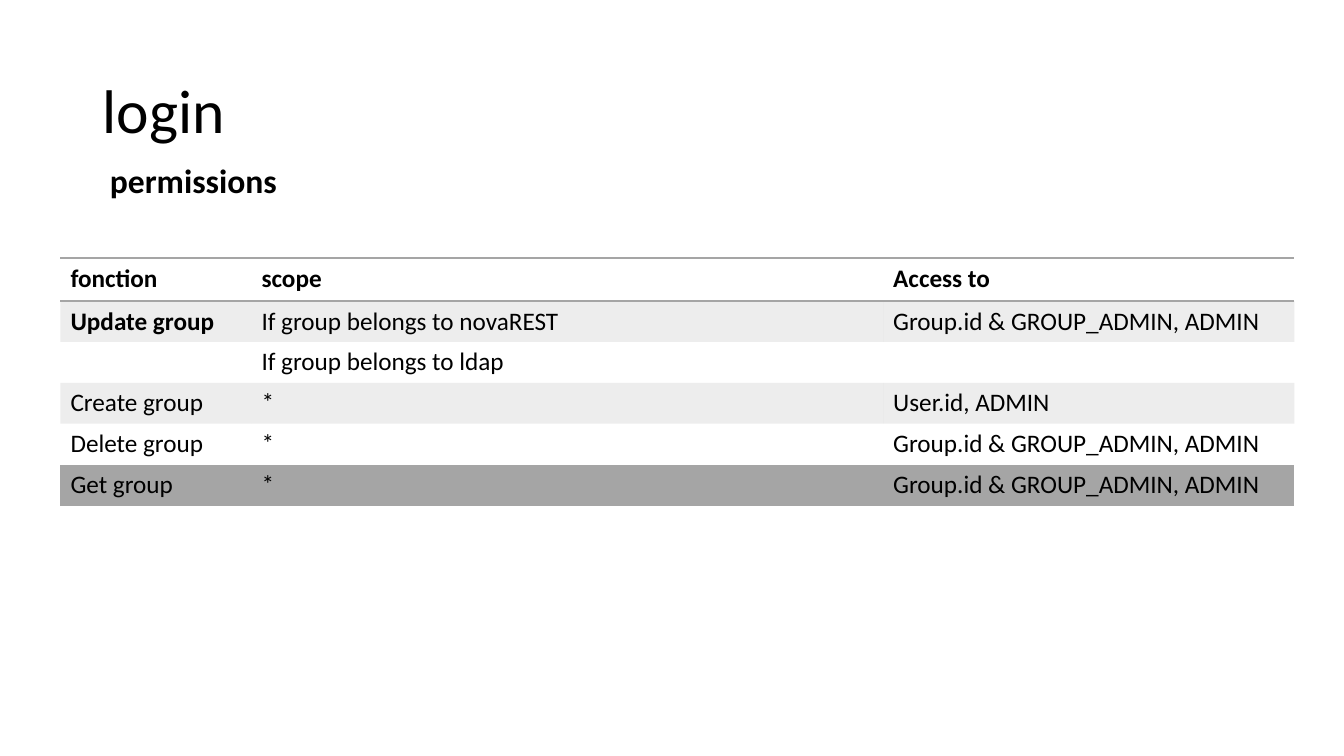
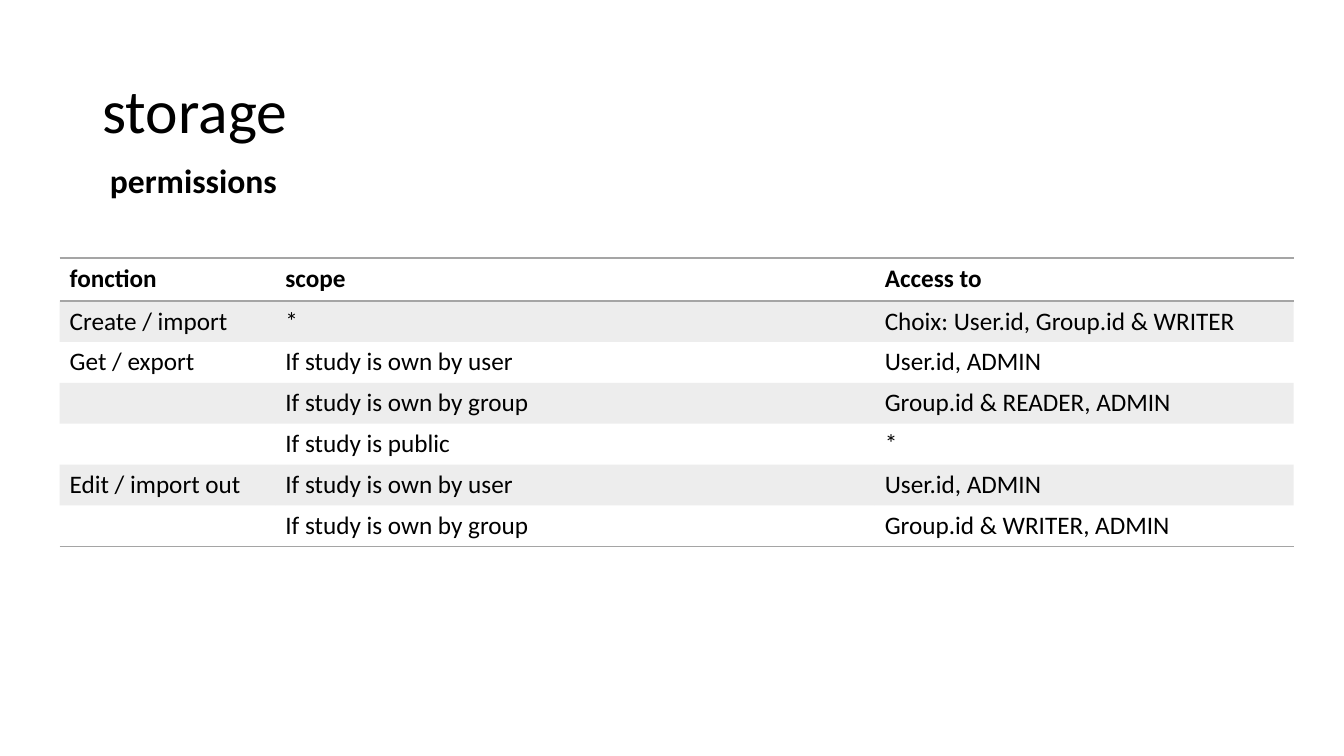
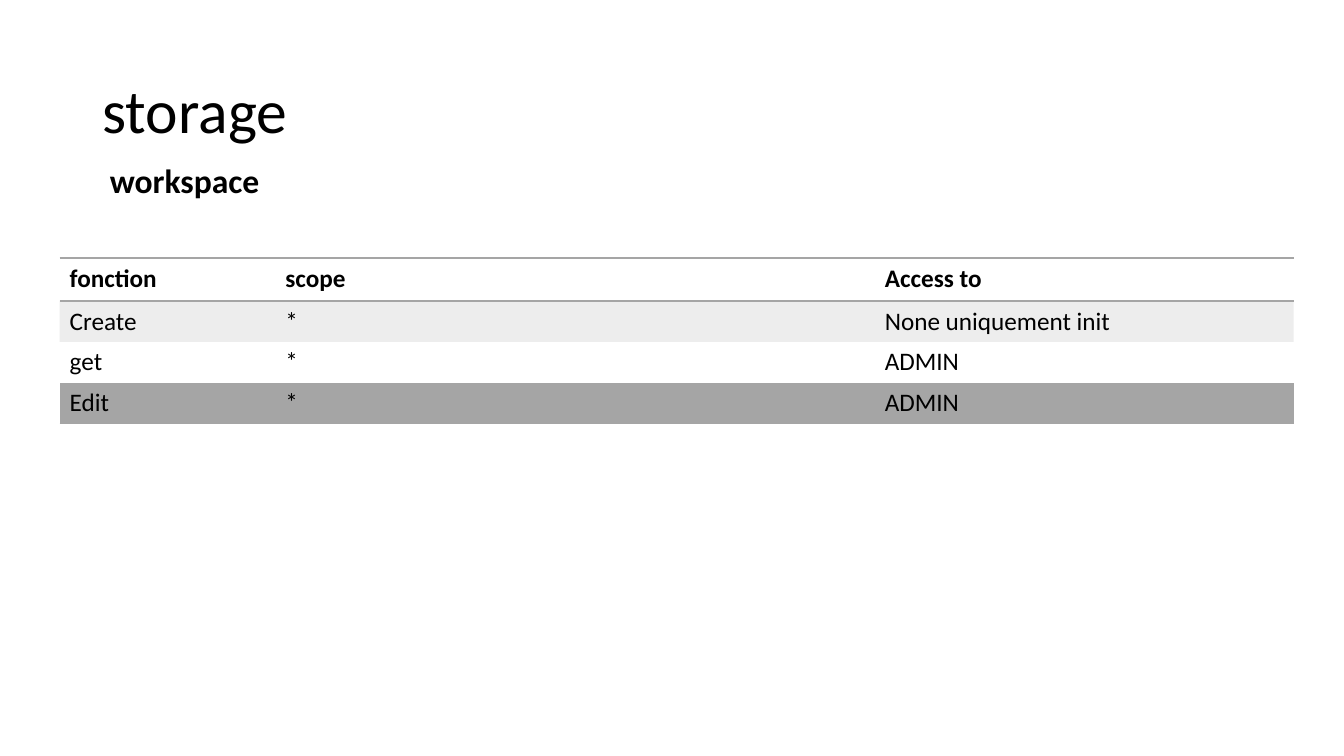
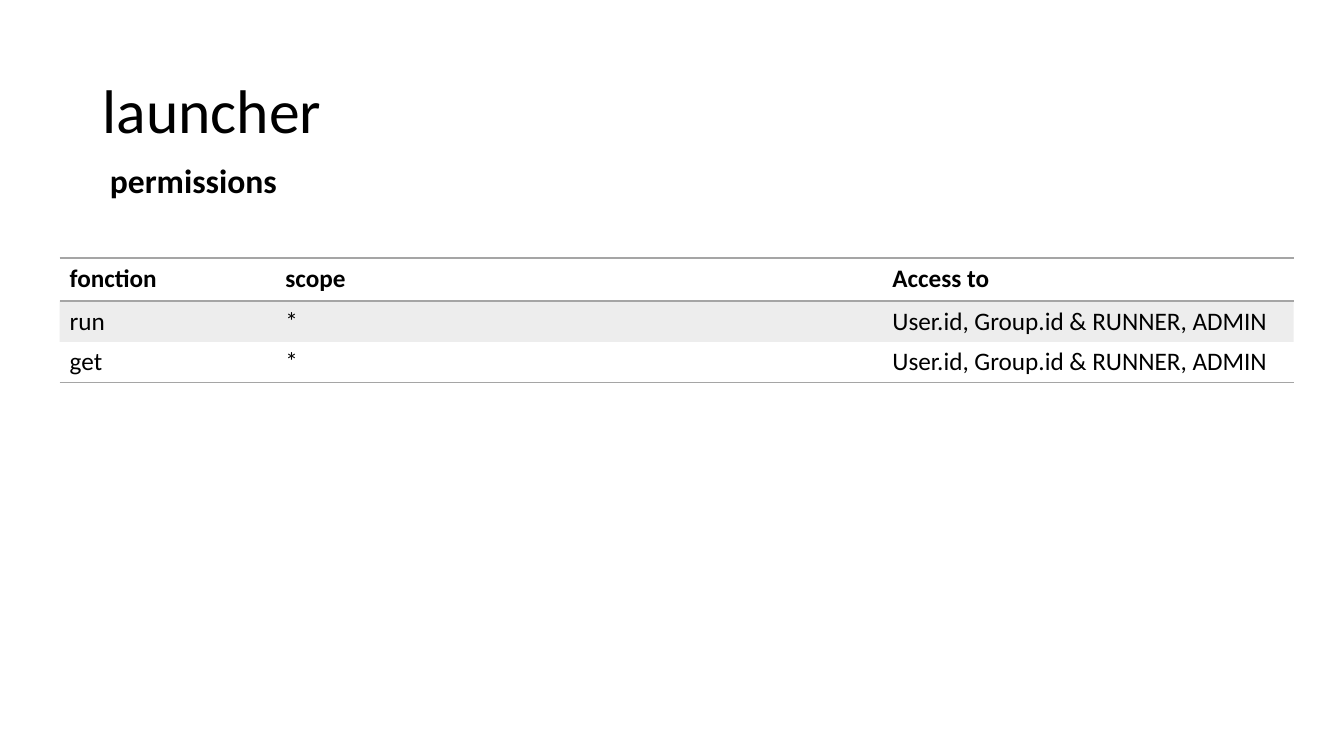
import pptx
import pptx.util
import pptx.dml.color
import pptx.enum.text
import pptx.oxml.ns
import lxml.etree

# Shared look
BLACK = pptx.dml.color.RGBColor(0x00, 0x00, 0x00)
GREY = pptx.dml.color.RGBColor(0xA5, 0xA5, 0xA5)
FONT = "Calibri"
PLAIN = "{2D5ABB26-0587-4C30-8999-92F81FD0307C}"  # table style without grid
HEAD = ("fonction", "scope", "Access to")

# Grid of 160 columns by 90 rows, each cell 6 points wide and high
COLS, ROWS = 160, 90
TOP = 30.72
HEAD_ROW, BODY_ROW = 5.12, 4.87


def grid(count):
    return pptx.util.Pt(6 * count)


def style(para, size, bold=False):
    for run in para.runs:
        font = run.font
        font.name, font.size, font.bold = FONT, pptx.util.Pt(size), bold
        font.color.rgb = BLACK


def node(parent, tag, **attrs):
    return lxml.etree.SubElement(parent, pptx.oxml.ns.qn(tag), attrs)


# Title and subtitle
def add_title(slide, text):
    title = slide.shapes.title
    title.left, title.top = grid(11), grid(4.8)
    title.width, title.height = grid(138), grid(17.4)
    frame = title.text_frame
    frame.text = text
    frame.vertical_anchor = pptx.enum.text.MSO_ANCHOR.MIDDLE
    para = frame.paragraphs[0]
    para.alignment = pptx.enum.text.PP_ALIGN.LEFT
    para.line_spacing = 0.9
    style(para, 44)


def add_sub(slide, text, width):
    box = slide.shapes.add_textbox(grid(11.9), grid(18.5), grid(width), grid(6))
    frame = box.text_frame
    frame.word_wrap = False
    frame.auto_size = pptx.enum.text.MSO_AUTO_SIZE.SHAPE_TO_FIT_TEXT
    frame.text = text
    style(frame.paragraphs[0], 24, True)


# Table parts
def add_rule(cell, side):
    props = cell._tc.get_or_add_tcPr()
    line = node(props, side, w=str(pptx.util.Pt(1)))
    fill = node(line, "a:solidFill")
    node(fill, "a:srgbClr", val=str(GREY))


def fill_cell(cell, shade):
    if not shade:
        cell.fill.background()
        return
    cell.fill.solid()
    cell.fill.fore_color.rgb = GREY
    color = cell._tc.tcPr.find(".//" + pptx.oxml.ns.qn("a:srgbClr"))
    node(color, "a:alpha", val="20000")


def add_grid(slide, left, widths, body, bold):
    rows = [HEAD, *body]
    high = HEAD_ROW + BODY_ROW * len(body)
    frame = slide.shapes.add_table(len(rows), len(HEAD), grid(left), grid(TOP),
                                   grid(sum(widths)), grid(high))
    table = frame.table
    table.first_row = table.horz_banding = False
    table._tbl.tblPr.find(pptx.oxml.ns.qn("a:tableStyleId")).text = PLAIN
    for col, width in zip(table.columns, widths):
        col.width = grid(width)
    for r, row in enumerate(rows):
        table.rows[r].height = grid(BODY_ROW if r else HEAD_ROW)
        for c, text in enumerate(row):
            cell = table.cell(r, c)
            if r == 0:
                add_rule(cell, "a:lnT")
            if r in (0, len(body)):
                add_rule(cell, "a:lnB")
            fill_cell(cell, r % 2 == 1)
            if text:
                cell.text_frame.text = text
                style(cell.text_frame.paragraphs[0], 18, r == 0 or text in bold)


def add_page(deck, title, sub, width, left, widths, body, bold=()):
    slide = deck.slides.add_slide(deck.slide_layouts[5])
    add_title(slide, title)
    add_sub(slide, sub, width)
    add_grid(slide, left, widths, body, bold)


def main():
    deck = pptx.Presentation()
    deck.slide_width, deck.slide_height = grid(COLS), grid(ROWS)

    # Login
    add_page(deck, "login", "permissions", 22.56, 7.2, (22.74, 75.2, 48.96), [
        ("Update group", "If group belongs to novaREST",
         "Group.id & GROUP_ADMIN, ADMIN"),
        ("", "If group belongs to ldap", ""),
        ("Create group", "*", "User.id, ADMIN"),
        ("Delete group", "*", "Group.id & GROUP_ADMIN, ADMIN"),
        ("Get group", "*", "Group.id & GROUP_ADMIN, ADMIN"),
    ], bold=("Update group",))

    # Storage
    store = (25.68, 71.36, 49.86)
    add_page(deck, "storage", "permissions", 22.56, 7.1, store, [
        ("Create / import", "*", "Choix: User.id, Group.id & WRITER"),
        ("Get / export", "If study is own by user", "User.id, ADMIN"),
        ("", "If study is own by group", "Group.id & READER, ADMIN"),
        ("", "If study is public", "*"),
        ("Edit / import out", "If study is own by user", "User.id, ADMIN"),
        ("", "If study is own by group", "Group.id & WRITER, ADMIN"),
    ])
    add_page(deck, "storage", "workspace", 20.4, 7.1, store, [
        ("Create", "*", "None uniquement init"),
        ("get", "*", "ADMIN"),
        ("Edit", "*", "ADMIN"),
    ])

    # Launcher
    access = "User.id, Group.id & RUNNER, ADMIN"
    add_page(deck, "launcher", "permissions", 22.56, 7.1, (25.68, 72.26, 48.96), [
        ("run", "*", access),
        ("get", "*", access),
    ])

    deck.save("out.pptx")


main()
